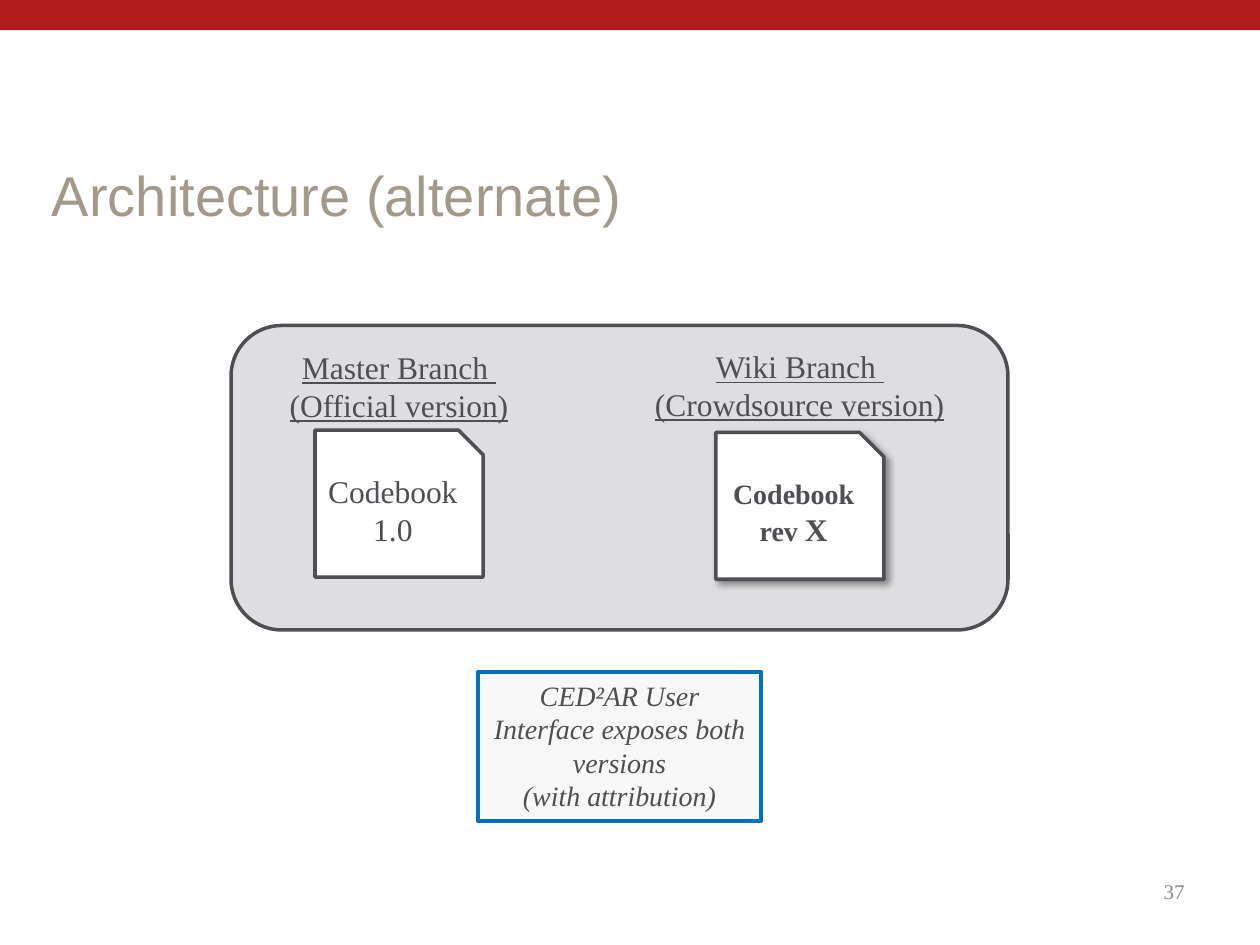
from lxml import etree
from pptx import Presentation
from pptx.dml.color import RGBColor
from pptx.enum.shapes import MSO_SHAPE
from pptx.enum.text import MSO_ANCHOR, PP_ALIGN
from pptx.oxml import parse_xml
from pptx.util import Pt

RED = RGBColor(0xB3, 0x1B, 0x1B)
TAN = RGBColor(0xA2, 0x99, 0x8B)
SLATE = RGBColor(0x4D, 0x4F, 0x53)
PANEL_GRAY = RGBColor(0xDE, 0xDE, 0xE0)
NUMBER_GRAY = RGBColor(0x8C, 0x8C, 0x8C)
NOTE_GRAY = RGBColor(0xF8, 0xF8, 0xF8)
BLUE = RGBColor(0x00, 0x70, 0xC0)
WHITE = RGBColor(0xFF, 0xFF, 0xFF)

RECTANGLE = MSO_SHAPE.RECTANGLE
ROUNDED = MSO_SHAPE.ROUNDED_RECTANGLE
DOCUMENT = MSO_SHAPE.SNIP_1_RECTANGLE
TOP, MIDDLE = MSO_ANCHOR.TOP, MSO_ANCHOR.MIDDLE
LEFT, CENTER, RIGHT = PP_ALIGN.LEFT, PP_ALIGN.CENTER, PP_ALIGN.RIGHT
SERIF = "Times New Roman"

SHADOW_XML = (
    '<a:effectLst xmlns:a="http://schemas.openxmlformats.org/drawingml/2006/main">'
    '<a:outerShdw blurRad="50800" dist="38100" dir="2700000" algn="tl" rotWithShape="0">'
    '<a:srgbClr val="000000"><a:alpha val="40000"/></a:srgbClr>'
    '</a:outerShdw></a:effectLst>'
)


def write(shape, lines, size, color=SLATE, name=SERIF, align=CENTER, anchor=TOP,
          bold=False, italic=False, underline=False):
    """Write one paragraph per line; a vertical tab breaks within a paragraph."""
    frame = shape.text_frame
    frame.word_wrap = True
    frame.vertical_anchor = anchor
    for index, line in enumerate(lines):
        paragraph = frame.add_paragraph() if index else frame.paragraphs[0]
        paragraph.text = line
        paragraph.alignment = align
        font = paragraph.font
        font.name, font.size = name, Pt(size)
        font.bold, font.italic, font.underline = bold, italic, underline
        font.color.rgb = color


def add_box(slide, kind, left, top, width, height, fill, line=None, line_width=2):
    shape = slide.shapes.add_shape(kind, Pt(left), Pt(top), Pt(width), Pt(height))
    shape.shadow.inherit = False
    shape.fill.solid()
    shape.fill.fore_color.rgb = fill
    if line is None:
        shape.line.fill.background()
    else:
        shape.line.color.rgb = line
        shape.line.width = Pt(line_width)
    return shape


def add_label(slide, left, top, width, height, text, size, **style):
    box = slide.shapes.add_textbox(Pt(left), Pt(top), Pt(width), Pt(height))
    write(box, [text], size, **style)


def add_document(slide, left, top, text, size, bold=False):
    shape = add_box(slide, DOCUMENT, left, top, 96, 84, WHITE, SLATE)
    write(shape, [text], size, anchor=MIDDLE, bold=bold)
    return shape


def add_drop_shadow(shape):
    properties = shape.element.spPr
    for effects in properties.findall("{*}effectLst"):
        properties.remove(effects)
    properties.append(parse_xml(etree.tostring(etree.fromstring(SHADOW_XML))))


def set_title(slide, text):
    title = slide.shapes.title
    title.left, title.top, title.width, title.height = Pt(22.5), Pt(84), Pt(683), Pt(54)
    write(title, [text], 32, color=TAN, name="Arial", align=LEFT, anchor=MIDDLE)


def main():
    presentation = Presentation()
    presentation.slide_width, presentation.slide_height = Pt(720), Pt(540)
    slide = presentation.slides.add_slide(presentation.slide_layouts[5])

    add_box(slide, RECTANGLE, 0, 0, 720, 17.3, RED)
    add_box(slide, ROUNDED, 132, 186, 444, 174, PANEL_GRAY, SLATE)
    set_title(slide, "Architecture (alternate)")
    add_label(slide, 516, 494.5, 168, 29, "37", 12,
              color=NUMBER_GRAY, align=RIGHT, anchor=MIDDLE)

    add_label(slide, 157, 195.5, 142, 51, "Master Branch \v(Official version)", 18,
              underline=True)
    add_document(slide, 180, 245.75, "Codebook 1.0", 18)

    revision = add_document(slide, 409, 247, "Codebook rev ", 16, bold=True)
    add_drop_shadow(revision)
    number = revision.text_frame.paragraphs[0].add_run()
    number.text = "X"
    number.font.size = Pt(18)
    add_label(slide, 357, 195, 200, 51, "Wiki Branch \v(Crowdsource version)", 18,
              underline=True)

    interface = add_box(slide, RECTANGLE, 273, 384, 162, 85, NOTE_GRAY, BLUE, 2.25)
    write(interface, ["CED²AR User Interface exposes both versions", "(with attribution)"],
          16, italic=True)

    presentation.save("out.pptx")


if __name__ == "__main__":
    main()
